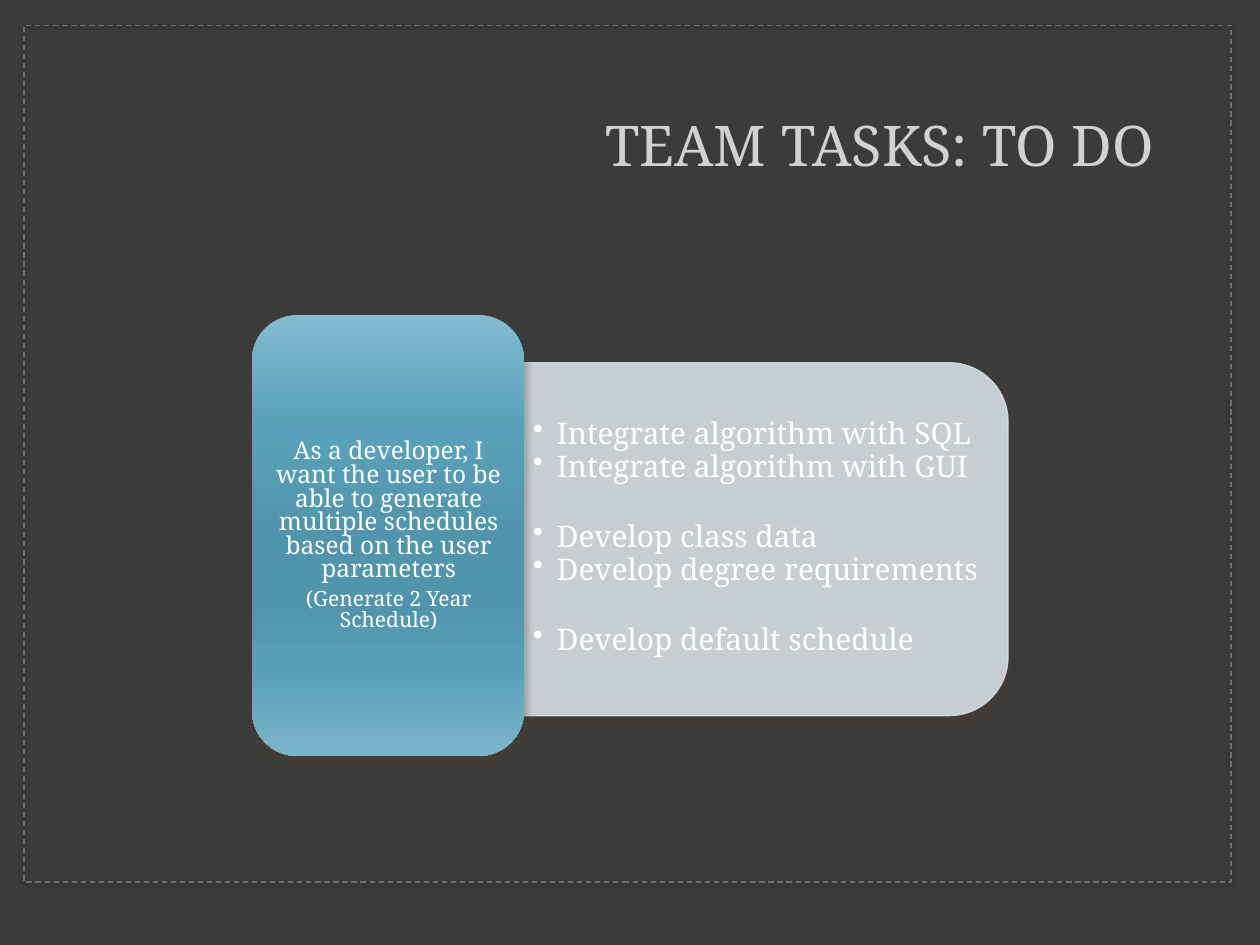
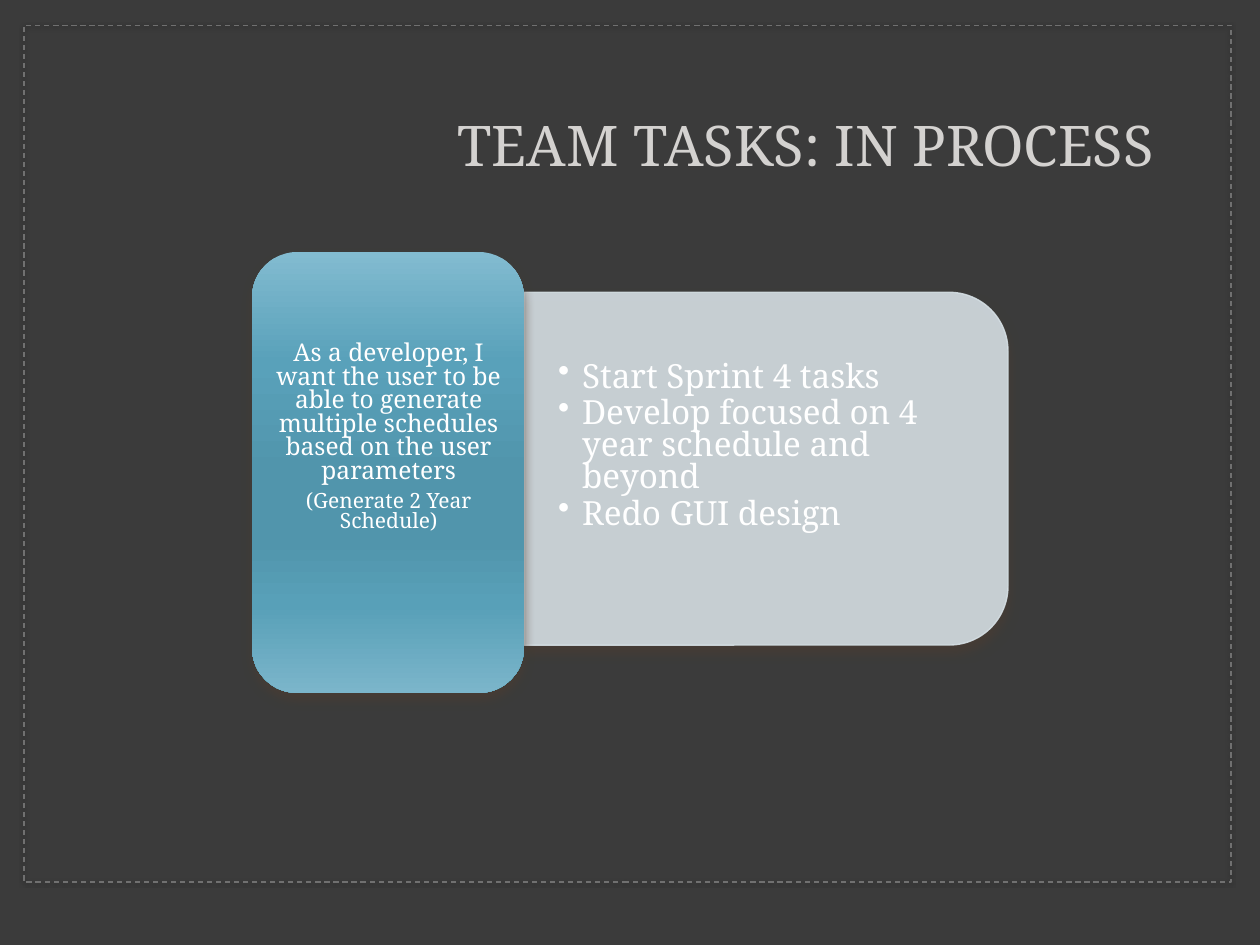
from lxml import etree
from pptx import Presentation
from pptx.dml.color import RGBColor
from pptx.enum.dml import MSO_LINE
from pptx.enum.shapes import MSO_SHAPE
from pptx.enum.text import MSO_ANCHOR, PP_ALIGN
from pptx.oxml.ns import qn
from pptx.util import Inches, Pt

RECT = MSO_SHAPE.RECTANGLE
ROUNDED = MSO_SHAPE.ROUNDED_RECTANGLE
TOP_ROUNDED = MSO_SHAPE.ROUND_2_SAME_RECTANGLE
DASH = MSO_LINE.DASH
MIDDLE = MSO_ANCHOR.MIDDLE
LEFT, CENTER, RIGHT = PP_ALIGN.LEFT, PP_ALIGN.CENTER, PP_ALIGN.RIGHT

# Shared style
FONT = "Noto Serif"
BACKGROUND, FRAME, TITLE = "3B3B3B", "707070", "D4D2D0"
PANEL, WHITE = "D5DFE4", "FFFFFF"
CARD_STOPS = [(0, "82BBD0"), (25, "59A1BA"), (50, "5195AC"),
              (65, "5195AC"), (80, "58A0B8"), (100, "7BB5CA")]
FRAME_SHADOW = ("000000", 2, 1)
BLOCK_SHADOW = ("4E3B30", 6, 4)
LINE_SPACING = 0.8
BULLET_INDENT = 0.19
CARD_LEFT, CARD_W, CARD_H = 2, 2.16, 3.5
PANEL_W, PANEL_H = 3.84, 2.8
STORY = ("As a developer, I want the user to be able to generate "
         "multiple schedules based on the user parameters")
STORY_NOTE = "(Generate 2 Year Schedule)"


def rgb(value):
    return RGBColor.from_string(value)


def add_child(parent, tag, **attrs):
    return etree.SubElement(parent, qn(tag), {k: str(v) for k, v in attrs.items()})


def set_alpha(color_parent, percent):
    add_child(color_parent.find(".//" + qn("a:srgbClr")), "a:alpha", val=percent * 1000)


class Deck:
    def __init__(self):
        self.prs = Presentation()
        self.prs.slide_width, self.prs.slide_height = Inches(10), Inches(7.5)
        self.slide = None

    def new_slide(self, title):
        self.slide = self.prs.slides.add_slide(self.prs.slide_layouts[6])
        fill = self.slide.background.fill
        fill.solid()
        fill.fore_color.rgb = rgb(BACKGROUND)
        # Dashed page frame
        frame = self.shape(RECT, 0.19, 0.2, 9.58, 6.8, FRAME_SHADOW)
        frame.fill.background()
        frame.line.color.rgb = rgb(FRAME)
        frame.line.width = Pt(0.75)
        frame.line.dash_style = DASH
        # Title
        tf = self.text_box(0.75, 0.58, 8.51, 1.08, (0.1, 0.05, 0.1, 0))
        self.paragraph(tf, title, 32, TITLE, RIGHT, spacing=1)

    def shape(self, kind, x, y, w, h, shadow):
        sp = self.slide.shapes.add_shape(kind, Inches(x), Inches(y), Inches(w), Inches(h))
        sp.shadow.inherit = False
        color, blur, distance = shadow
        effects = sp.element.spPr.find(qn("a:effectLst"))
        outer = add_child(effects, "a:outerShdw", blurRad=Pt(blur), dist=Pt(distance),
                          dir=5400000, rotWithShape=0)
        add_child(outer, "a:srgbClr", val=color)
        set_alpha(outer, 60)
        return sp

    def text_box(self, x, y, w, h, insets):
        box = self.slide.shapes.add_textbox(Inches(x), Inches(y), Inches(w), Inches(h))
        tf = box.text_frame
        tf.word_wrap = True
        tf.vertical_anchor = MIDDLE
        (tf.margin_left, tf.margin_top,
         tf.margin_right, tf.margin_bottom) = [Inches(i) for i in insets]
        return tf

    def paragraph(self, tf, text, size, color=WHITE, align=LEFT,
                  spacing=LINE_SPACING, after=0, bullet=False):
        p = tf.paragraphs[0]
        if p.runs:
            p = tf.add_paragraph()
        p.alignment = align
        p.line_spacing = spacing
        p.space_after = Pt(after)
        if bullet:
            pPr = p._p.get_or_add_pPr()
            pPr.set("marL", str(Inches(BULLET_INDENT)))
            pPr.set("indent", str(-Inches(BULLET_INDENT)))
            add_child(pPr, "a:buChar", char="•")
        r = p.add_run()
        r.text = text
        r.font.name = FONT
        r.font.size = Pt(size)
        r.font.color.rgb = rgb(color)

    def task_panel(self, top, groups, size, insets):
        """Panel turned a quarter, so its rounded top faces right."""
        left = CARD_LEFT + CARD_W
        middle = top + PANEL_H / 2
        sp = self.shape(TOP_ROUNDED, left + (PANEL_W - PANEL_H) / 2,
                        middle - PANEL_W / 2, PANEL_H, PANEL_W, BLOCK_SHADOW)
        sp.rotation = 90
        sp.fill.solid()
        sp.fill.fore_color.rgb = rgb(PANEL)
        sp.line.color.rgb = rgb(PANEL)
        sp.line.width = Pt(0.79)
        set_alpha(sp.element.spPr.find(qn("a:solidFill")), 90)
        set_alpha(sp.element.spPr.find(qn("a:ln")), 90)
        # Tasks, with one line of space between groups
        tf = self.text_box(left, middle - 1.265, 3.7, 2.53, insets)
        gap = 0.15 * size
        group_gap = 2 * gap + 1.36 * LINE_SPACING * size
        for group in groups:
            for task in group:
                ends_group = task == group[-1] and group != groups[-1]
                self.paragraph(tf, task, size, after=group_gap if ends_group else gap,
                               bullet=True)

    def story_card(self, top, bottom_inset):
        sp = self.shape(ROUNDED, CARD_LEFT, top, CARD_W, CARD_H, BLOCK_SHADOW)
        sp.line.fill.background()
        sp.fill.gradient()
        sp.fill.gradient_angle = 270
        stops = sp.element.spPr.find(".//" + qn("a:gsLst"))
        for old in list(stops):
            stops.remove(old)
        for position, color in CARD_STOPS:
            add_child(add_child(stops, "a:gs", pos=position * 1000), "a:srgbClr", val=color)
        tf = self.text_box(CARD_LEFT + 0.11, top + 0.11, 1.95, 3.29,
                           (0.06, 0.03, 0.06, bottom_inset))
        for text, size in ((STORY, 14), (STORY_NOTE, 12)):
            self.paragraph(tf, text, size, align=CENTER, after=0.35 * size)


deck = Deck()

# Slide 1: to do
deck.new_slide("TEAM TASKS: TO DO")
deck.task_panel(2.88, [
    ["Integrate algorithm with SQL", "Integrate algorithm with GUI"],
    ["Develop class data", "Develop degree requirements"],
    ["Develop default schedule"],
], 17, (0.07, 0.04, 0.07, 0.04))
deck.story_card(2.5, 0.03)

# Slide 2: in process
deck.new_slide("TEAM TASKS: IN PROCESS")
deck.task_panel(2.32, [
    ["Start Sprint 4 tasks", "Develop focused on 4 year schedule and beyond",
     "Redo GUI design"],
], 19, (0.27, 0.14, 0.27, 0.48))
deck.story_card(2, 0.59)

deck.prs.save("out.pptx")
